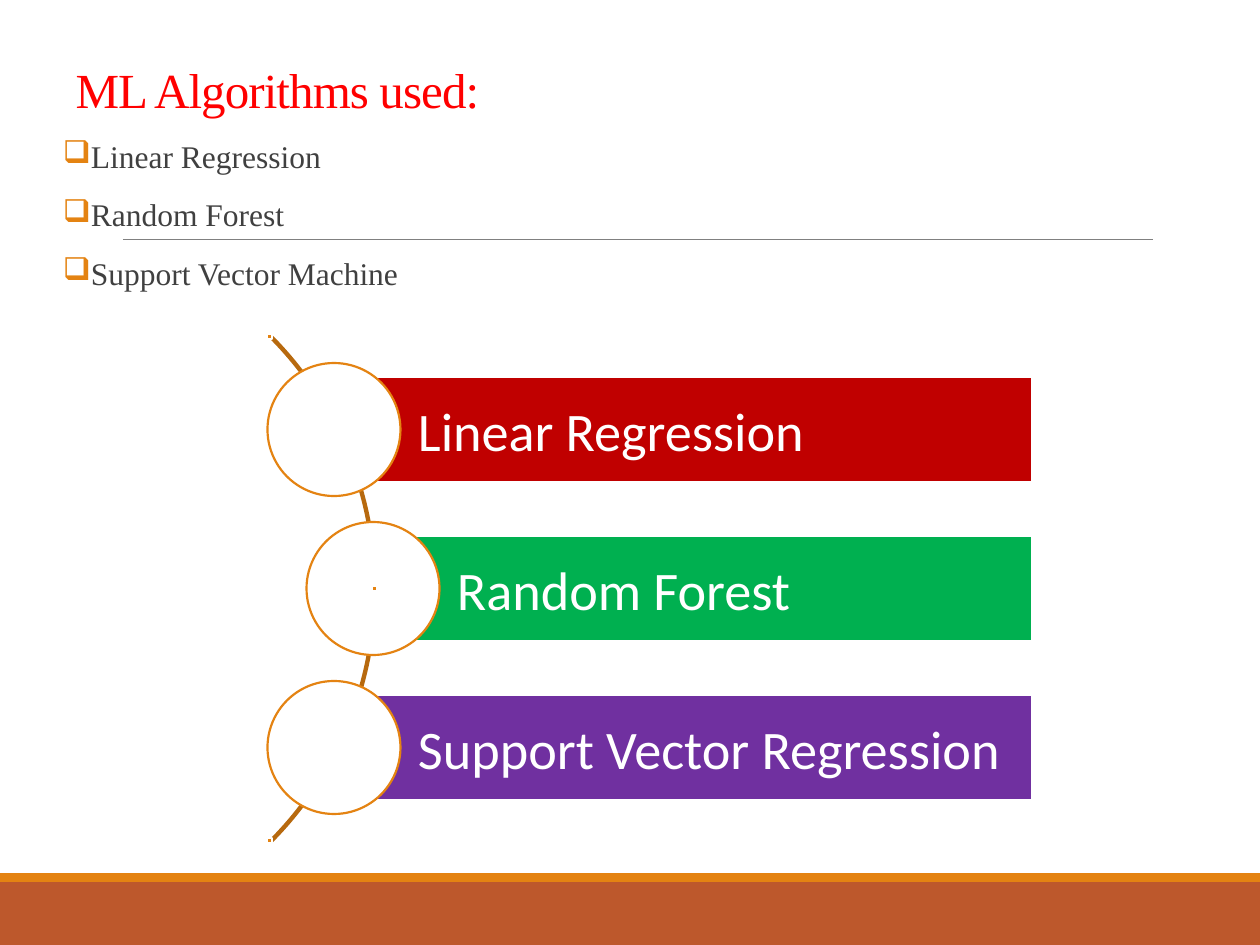
from dataclasses import dataclass

from lxml import etree
from pptx import Presentation
from pptx.dml.color import RGBColor
from pptx.enum.shapes import MSO_CONNECTOR, MSO_SHAPE
from pptx.enum.text import MSO_ANCHOR, MSO_AUTO_SIZE, PP_ALIGN
from pptx.oxml.ns import qn
from pptx.util import Emu, Pt

RECT = MSO_SHAPE.RECTANGLE
OVAL = MSO_SHAPE.OVAL
ARC = MSO_SHAPE.BLOCK_ARC
STRAIGHT = MSO_CONNECTOR.STRAIGHT
MIDDLE = MSO_ANCHOR.MIDDLE
BOTTOM = MSO_ANCHOR.BOTTOM
LEFT = PP_ALIGN.LEFT
NO_FIT = MSO_AUTO_SIZE.NONE

EMU_PER_PX = 914400 / 126
TITLE_ONLY = 5


@dataclass(frozen=True)
class Theme:
    serif: str = "Times New Roman"
    sans: str = "Calibri"
    title_size: float = 28
    list_size: float = 18
    bar_size: float = 31
    outline: float = 1.25
    hairline: float = 0.5
    title: str = "FF0000"
    body: str = "404040"
    white: str = "FFFFFF"
    accent: str = "E48312"
    arc: str = "B7690E"
    footer: str = "BD582C"
    rule: str = "808080"
    red: str = "C00000"
    green: str = "00B050"
    purple: str = "7030A0"


def px(length):
    return Emu(round(length * EMU_PER_PX))


def rgb(value):
    return RGBColor.from_string(value)


class SlideBuilder:
    def __init__(self, slide, theme):
        self.slide = slide
        self.theme = theme

    def style_text(self, paragraph, font_name, size, color):
        paragraph.alignment = LEFT
        for run in paragraph.runs:
            run.font.name = font_name
            run.font.size = Pt(size)
            run.font.color.rgb = rgb(color)

    def title(self, text, left, top, width, height):
        heading = self.slide.shapes.title
        heading.left, heading.top = px(left), px(top)
        heading.width, heading.height = px(width), px(height)
        frame = heading.text_frame
        frame.text = text
        frame.auto_size = NO_FIT
        frame.vertical_anchor = BOTTOM
        paragraph = frame.paragraphs[0]
        paragraph.line_spacing = 0.85
        self.style_text(paragraph, self.theme.serif, self.theme.title_size, self.theme.title)
        paragraph.runs[0].font._element.set("spc", "-50")

    def bullet_list(self, items, left, top, width, height):
        box = self.slide.shapes.add_textbox(px(left), px(top), px(width), px(height))
        frame = box.text_frame
        frame.word_wrap = True
        frame.margin_left = frame.margin_right = 0
        frame.text = "\n".join(items)
        for index, paragraph in enumerate(frame.paragraphs):
            paragraph.line_spacing = 0.9
            paragraph.space_before = Pt(12 if index else 0)
            paragraph.space_after = Pt(2)
            self.bullet(paragraph)
            self.style_text(paragraph, self.theme.serif, self.theme.list_size, self.theme.body)

    def bullet(self, paragraph):
        properties = paragraph._p.get_or_add_pPr()
        properties.set("marL", str(px(13)))
        properties.set("indent", str(-px(13)))
        color = etree.SubElement(properties, qn("a:buClr"))
        etree.SubElement(color, qn("a:srgbClr"), val=self.theme.accent)
        etree.SubElement(properties, qn("a:buChar"), char="❑")

    def shape(self, kind, left, top, width, height, fill=None, line=None):
        shape = self.slide.shapes.add_shape(kind, px(left), px(top), px(width), px(height))
        shape.shadow.inherit = False
        if fill:
            shape.fill.solid()
            shape.fill.fore_color.rgb = rgb(fill)
        else:
            shape.fill.background()
        if line:
            shape.line.color.rgb = rgb(line)
            shape.line.width = Pt(self.theme.outline)
        else:
            shape.line.fill.background()
        return shape

    def arc(self, left, top, size):
        arc = self.shape(ARC, left, top, size, size, line=self.theme.arc)
        for index, value in enumerate((189, 27, 0.003)):
            arc.adjustments[index] = value

    def bar(self, text, left, top, width, height, fill):
        bar = self.shape(RECT, left, top, width, height, fill, self.theme.white)
        frame = bar.text_frame
        frame.margin_left = px(84)
        frame.margin_top = frame.margin_right = frame.margin_bottom = px(11)
        frame.vertical_anchor = MIDDLE
        frame.word_wrap = True
        frame.text = text
        self.style_text(frame.paragraphs[0], self.theme.sans, self.theme.bar_size, self.theme.white)

    def rule(self, left, right, y):
        rule = self.slide.shapes.add_connector(STRAIGHT, px(left), px(y), px(right), px(y))
        rule.line.color.rgb = rgb(self.theme.rule)
        rule.line.width = Pt(self.theme.hairline)
        etree.SubElement(rule._element.spPr, qn("a:effectLst"))


def main():
    theme = Theme()
    deck = Presentation()
    deck.slide_width, deck.slide_height = px(1260), px(945)
    page = SlideBuilder(deck.slides.add_slide(deck.slide_layouts[TITLE_ONLY]), theme)

    page.shape(RECT, 0, 882, 1260, 63, theme.footer)
    page.shape(RECT, 0, 873, 1260, 9, theme.accent)
    page.rule(123, 1153, 239)

    page.title("ML Algorithms used:", 63, 38, 854, 87)
    page.bullet_list(
        ["Linear Regression", "Random Forest", "Support Vector Machine"],
        63, 135, 418, 179,
    )

    page.arc(-342, 230, 718)
    bar_right, bar_height, first_top, pitch = 1032, 105, 377, 159
    circle_size = 133
    algorithms = [
        ("Linear Regression", 334, theme.red),
        ("Random Forest", 373, theme.green),
        ("Support Vector Regression", 334, theme.purple),
    ]
    for index, (name, left, color) in enumerate(algorithms):
        top = first_top + index * pitch
        page.bar(name, left, top, bar_right - left, bar_height, color)
        page.shape(
            OVAL, left - circle_size / 2, top + (bar_height - circle_size) / 2,
            circle_size, circle_size, theme.white, theme.accent,
        )

    for left, top in ((267, 334), (372, 586), (267, 838)):
        page.shape(RECT, left, top, 5, 5, theme.accent, theme.white)

    deck.save("out.pptx")


if __name__ == "__main__":
    main()
